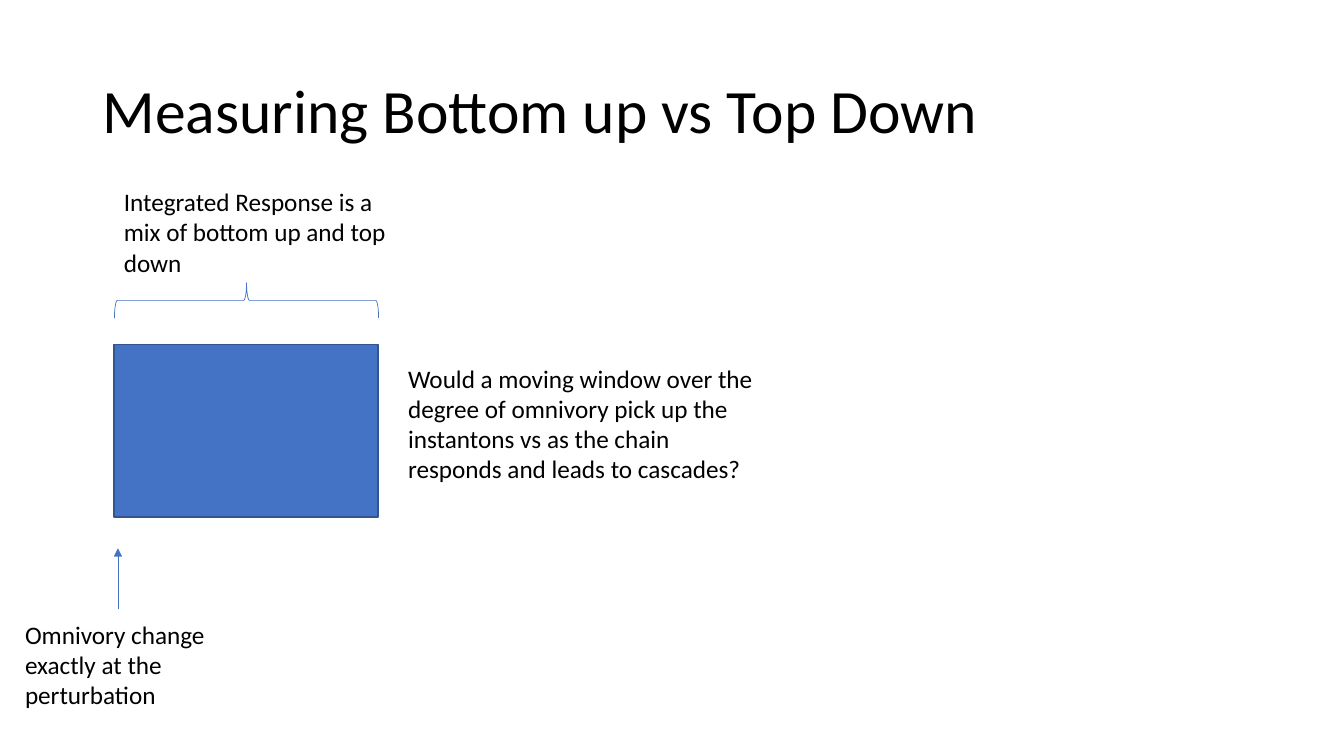
import pptx
import pptx.dml.color
import pptx.enum.shapes
import pptx.enum.text
import pptx.oxml.ns
import pptx.util
from lxml import etree

EMU_PER_PX = 9144
FONT = "Calibri"
COLORS = {"text": "000000", "accent": "4472C4", "outline": "325491"}
SHAPES = pptx.enum.shapes.MSO_SHAPE
ANCHORS = pptx.enum.text.MSO_ANCHOR


def px(length):
    """Turn pixels into EMU."""
    return pptx.util.Emu(length * EMU_PER_PX)


def color(name):
    """Return the named colour."""
    return pptx.dml.color.RGBColor.from_string(COLORS[name])


def set_line(line, name, width):
    """Set the colour and the width in points of a line."""
    line.color.rgb = color(name)
    line.width = pptx.util.Pt(width)


def add_text(slide, text, box, size=18, anchor=ANCHORS.TOP, spacing=1.0):
    """Add a wrapping text box."""
    shape = slide.shapes.add_textbox(*map(px, box))
    frame = shape.text_frame
    frame.word_wrap = True
    frame.vertical_anchor = anchor
    paragraph = frame.paragraphs[0]
    paragraph.text = text
    paragraph.line_spacing = spacing
    paragraph.font.name = FONT
    paragraph.font.size = pptx.util.Pt(size)
    paragraph.font.color.rgb = color("text")


def add_window(slide, box):
    """Add the filled rectangle of the response window."""
    shape = slide.shapes.add_shape(SHAPES.RECTANGLE, *map(px, box))
    shape.shadow.inherit = False
    shape.fill.solid()
    shape.fill.fore_color.rgb = color("accent")
    set_line(shape.line, "outline", 1)


def add_brace(slide, box):
    """Add a brace turned to point upwards."""
    shape = slide.shapes.add_shape(SHAPES.LEFT_BRACE, *map(px, box))
    shape.shadow.inherit = False
    shape.rotation = 90
    shape.fill.background()
    set_line(shape.line, "accent", 0.5)


def add_arrow(slide, start, end):
    """Add a straight arrow from start to end."""
    arrow = slide.shapes.add_connector(
        pptx.enum.shapes.MSO_CONNECTOR.STRAIGHT, *map(px, start + end)
    )
    set_line(arrow.line, "accent", 0.5)
    qualified = pptx.oxml.ns.qn
    etree.SubElement(arrow.line._get_or_add_ln(), qualified("a:tailEnd"), type="triangle")
    etree.SubElement(arrow._element.spPr, qualified("a:effectLst"))


def main():
    """Build the slide and save it."""
    presentation = pptx.Presentation()
    presentation.slide_width = px(1333)
    presentation.slide_height = px(750)
    slide = presentation.slides.add_slide(presentation.slide_layouts[6])

    add_text(slide, "Measuring Bottom up vs Top Down", (92, 40, 1150, 145),
             size=44, anchor=ANCHORS.MIDDLE, spacing=0.9)
    add_window(slide, (113, 342, 262, 171))
    add_arrow(slide, (117, 604), (117, 544))
    add_text(slide, "Omnivory change exactly at the perturbation", (15, 609, 204, 101))
    add_brace(slide, (227, 167, 35, 262))
    add_text(slide, "Integrated Response is a mix of bottom up and top down",
             (113, 180, 294, 101))
    add_text(slide, "Would a moving window over the degree of omnivory pick up the "
             "instantons vs as the chain responds and leads to cascades?",
             (395, 355, 377, 131))

    presentation.save("out.pptx")


if __name__ == "__main__":
    main()
